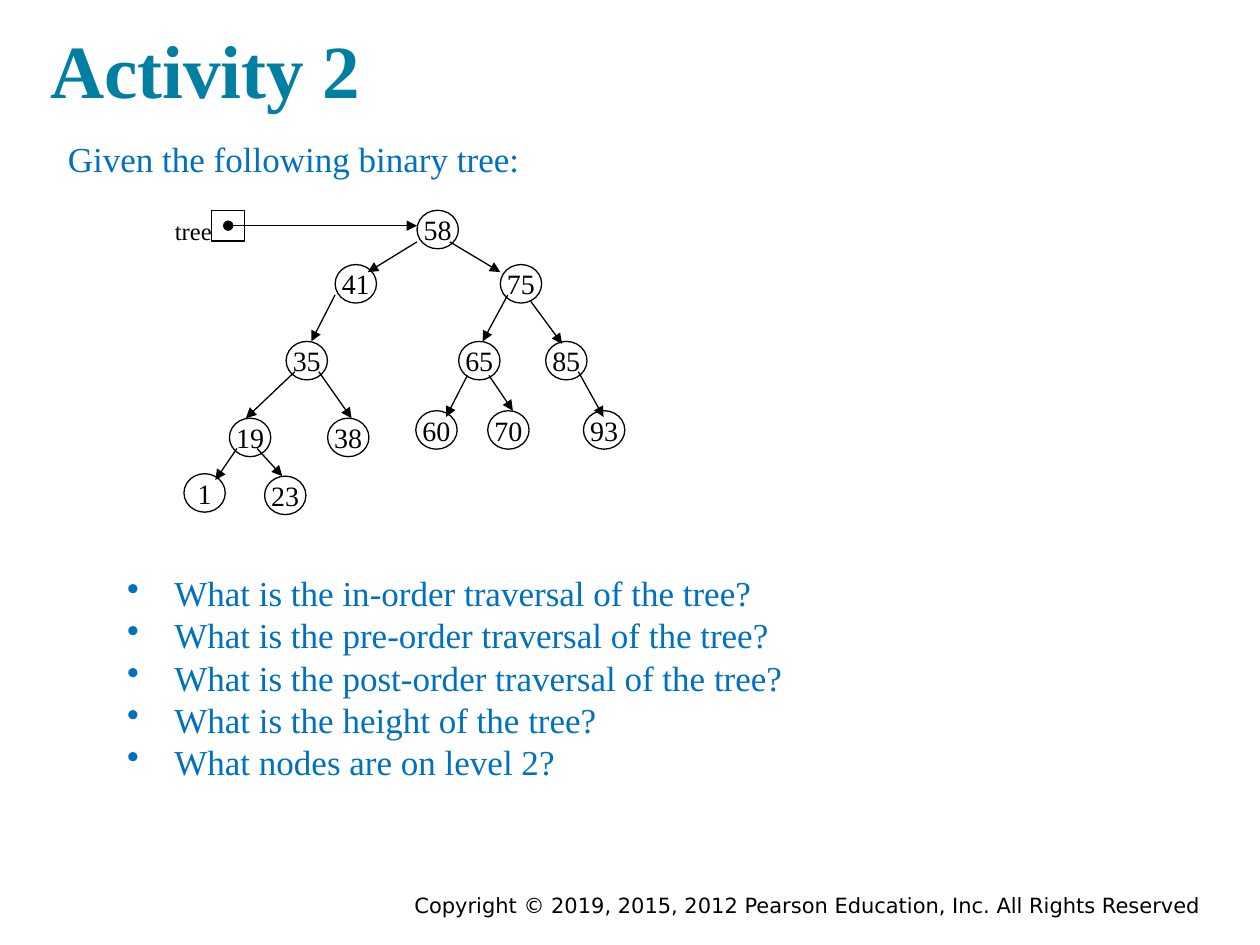
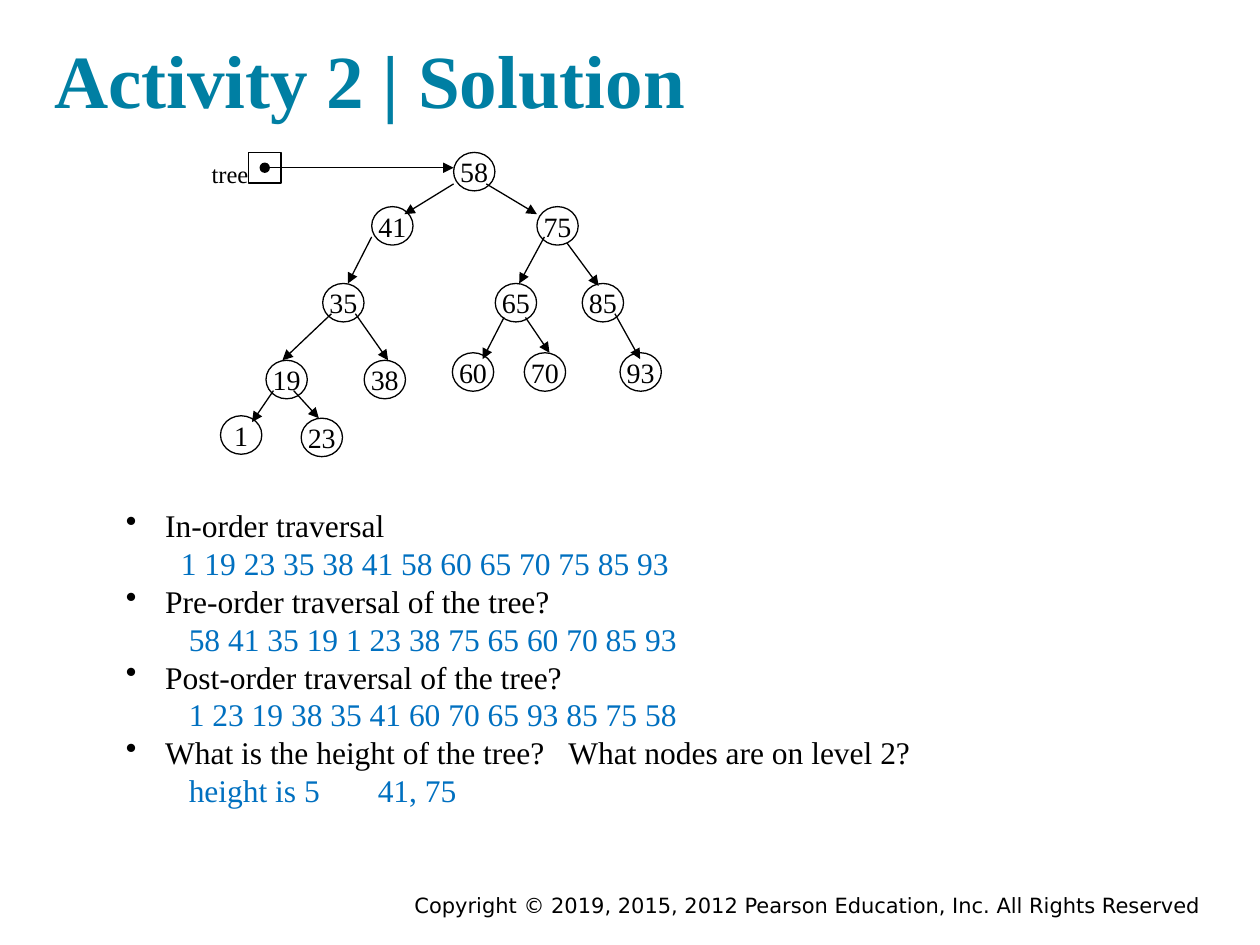
import pptx
import pptx.util
import pptx.dml.color
import pptx.enum.shapes
import pptx.enum.text
import pptx.oxml.ns
import lxml.etree

Pt = pptx.util.Pt
RGBColor = pptx.dml.color.RGBColor
Align = pptx.enum.text.PP_ALIGN
Anchor = pptx.enum.text.MSO_ANCHOR
Shape = pptx.enum.shapes.MSO_SHAPE

TEAL = RGBColor(0x00, 0x7F, 0xA3)
BLUE = RGBColor(0x00, 0x70, 0xC0)
BLACK = RGBColor(0, 0, 0)
SERIF = "Times New Roman"
SANS = "DejaVu Sans"
FOOTER = "Copyright © 2019, 2015, 2012 Pearson Education, Inc. All Rights Reserved"

NODE_W, NODE_H = 23.6, 22
NODES = {
    58: (145.4, 0), 41: (98.6, 31), 75: (193, 31),
    35: (70.6, 74.9), 65: (169.2, 74.9), 85: (218.9, 74.9),
    19: (38.2, 118.8), 38: (94.3, 118.8),
    60: (144.7, 114.5), 70: (185.8, 114.5), 93: (240.5, 114.5),
    1: (12.2, 150.5), 23: (58.3, 151.9),
}
# Each edge: parent, child, start within parent, end within child
EDGES = [
    (58, 41, (0, 18), (18.7, 4.3)),
    (58, 75, (18.7, 18), (0, 4.3)),
    (41, 35, (0, 17.3), (14.4, 0)),
    (75, 65, (4.3, 17.3), (13.7, 0)),
    (75, 85, (17.3, 20.9), (9.4, 1.4)),
    (35, 19, (5, 17.3), (9.4, 0)),
    (35, 38, (18.7, 17.3), (13.7, 0)),
    (65, 60, (5, 19.4), (17.3, 3.6)),
    (65, 70, (17.3, 19.4), (14.4, 0)),
    (85, 93, (18.7, 17.3), (11.5, 3.6)),
    (19, 1, (4.3, 17.3), (18, 3.6)),
    (19, 23, (15.8, 17.3), (10.1, 0)),
]


def add_child(parent, tag, **attrs):
    child = lxml.etree.SubElement(parent, pptx.oxml.ns.qn(tag))
    for name, value in attrs.items():
        child.set(name, str(value))
    return child


class Deck:
    def __init__(self):
        self.prs = pptx.Presentation()
        self.prs.slide_width, self.prs.slide_height = Pt(720), Pt(540)
        self.s = None

    def slide(self):
        self.s = self.prs.slides.add_slide(self.prs.slide_layouts[6])
        tf = self.text(126, 506.2, 563.8, 22.3, FOOTER, 12, BLACK, font=SANS, align=Align.RIGHT)
        for side in ("left", "right", "top", "bottom"):
            setattr(tf, f"margin_{side}", Pt(3.6))

    def run(self, p, text, size, color, font=SERIF, bold=False):
        r = p.add_run()
        r.text = text
        for name, value in {"size": Pt(size), "name": font, "bold": bold}.items():
            setattr(r.font, name, value)
        r.font.color.rgb = color
        return r

    def frame(self, x, y, w, h, wrap=True, anchor=Anchor.TOP):
        tf = self.s.shapes.add_textbox(Pt(x), Pt(y), Pt(w), Pt(h)).text_frame
        tf.word_wrap = wrap
        tf.vertical_anchor = anchor
        return tf

    def text(self, x, y, w, h, text, size, color, font=SERIF, bold=False,
             align=Align.LEFT, wrap=True, anchor=Anchor.TOP):
        tf = self.frame(x, y, w, h, wrap, anchor)
        tf.paragraphs[0].alignment = align
        self.run(tf.paragraphs[0], text, size, color, font, bold)
        return tf

    def title(self, x, y, w, h, text, spacing=1.0):
        tf = self.text(x, y, w, h, text, 42.9, TEAL, bold=True, anchor=Anchor.MIDDLE)
        tf.paragraphs[0].line_spacing = spacing

    def paragraph(self, tf, first=False):
        return tf.paragraphs[0] if first else tf.add_paragraph()

    def bullet(self, p, text, size, color, indent):
        pPr = p._p.get_or_add_pPr()
        pPr.set("marL", str(Pt(indent)))
        pPr.set("indent", str(-Pt(indent)))
        add_child(pPr, "a:buChar", char="•")
        return self.run(p, text, size, color)

    def answer(self, p, text, size, indent=0, tabs=()):
        pPr = p._p.get_or_add_pPr()
        pPr.set("marL", str(Pt(indent)))
        pPr.set("indent", "0")
        if tabs:
            tab_list = add_child(pPr, "a:tabLst")
            for pos in tabs:
                add_child(tab_list, "a:tab", pos=Pt(pos), algn="l")
        self.run(p, text, size, BLUE)

    def outline(self, kind, x, y, w, h):
        sp = self.s.shapes.add_shape(kind, Pt(x), Pt(y), Pt(w), Pt(h))
        sp.shadow.inherit = False
        sp.fill.background()
        sp.line.color.rgb = BLACK
        sp.line.width = Pt(0.75)
        return sp

    def node(self, x, y, value):
        tf = self.outline(Shape.OVAL, x, y, NODE_W, NODE_H).text_frame
        tf.word_wrap = False
        tf.vertical_anchor = Anchor.MIDDLE
        tf.paragraphs[0].alignment = Align.CENTER
        self.run(tf.paragraphs[0], str(value), 16, BLACK)

    def arrow(self, x1, y1, x2, y2, dot=False):
        line = self.s.shapes.add_connector(
            pptx.enum.shapes.MSO_CONNECTOR.STRAIGHT, Pt(x1), Pt(y1), Pt(x2), Pt(y2))
        line.line.color.rgb = BLACK
        line.line.width = Pt(0.75)
        ln = line.line._get_or_add_ln()
        if dot:
            add_child(ln, "a:headEnd", type="oval")
        add_child(ln, "a:tailEnd", type="triangle")
        add_child(line._element.spPr, "a:effectLst")

    def tree(self, x, y):
        for value, (dx, dy) in NODES.items():
            self.node(x + dx, y + dy, value)
        for parent, child, start, end in EDGES:
            (px, py), (cx, cy) = NODES[parent], NODES[child]
            self.arrow(x + px + start[0], y + py + start[1],
                       x + cx + end[0], y + cy + end[1])
        self.outline(Shape.RECTANGLE, x + 28.1, y, 18.7, 17.5)
        self.text(x, y, 35.3, 23.8, "tree", 14, BLACK, wrap=False)
        self.arrow(x + 37.5, y + 8.75, x + NODES[58][0], y + 8.75, dot=True)


def activity(deck):
    deck.slide()
    deck.title(21.6, 14.4, 560.9, 56.2, "Activity 2", 0.9)
    deck.text(31.7, 74.9, 293, 31.7, "Given the following binary tree:", 20, BLUE)
    deck.tree(92.9, 120.2)
    questions = [
        "What is the in-order traversal of the tree?",
        "What is the pre-order traversal of the tree?",
        "What is the post-order traversal of the tree?",
        "What is the height of the tree?",
        "What nodes are on level 2?",
    ]
    tf = deck.frame(65.5, 323.3, 505.4, 143.3)
    for i, question in enumerate(questions):
        deck.bullet(deck.paragraph(tf, i == 0), question, 20, BLUE, 27)


def solution(deck):
    deck.slide()
    deck.title(23.8, 13, 670.3, 63.4, "Activity 2 | Solution")
    deck.tree(113.8, 87.1)
    traversals = [
        ("In-order traversal", "1 19 23 35 38 41 58 60 65 70 75 85 93", 31.5),
        ("Pre-order traversal of the tree?", "58 41 35 19 1 23 38 75 65 60 70 85 93", 36),
        ("Post-order traversal of the tree?", "1 23 19 38 35 41 60 70 65 93 85 75 58", 36),
    ]
    tf = deck.frame(64.8, 285.8, 561.6, 181.4)
    for i, (question, order, indent) in enumerate(traversals):
        deck.bullet(deck.paragraph(tf, i == 0), question, 18, BLACK, 22.5)
        deck.answer(deck.paragraph(tf), order, 18, indent)
    p = deck.paragraph(tf)
    deck.bullet(p, "What is the height of the tree?", 18, BLACK, 22.5)
    gap = deck.run(p, " ", 18, BLACK)
    gap._r.get_or_add_rPr().set("spc", "900")
    deck.run(p, "What nodes are on level 2?", 18, BLACK)
    deck.answer(deck.paragraph(tf), "\theight is 5\t41, 75", 18, tabs=(72, 288))


def main():
    deck = Deck()
    activity(deck)
    solution(deck)
    deck.prs.save("out.pptx")


if __name__ == "__main__":
    main()
